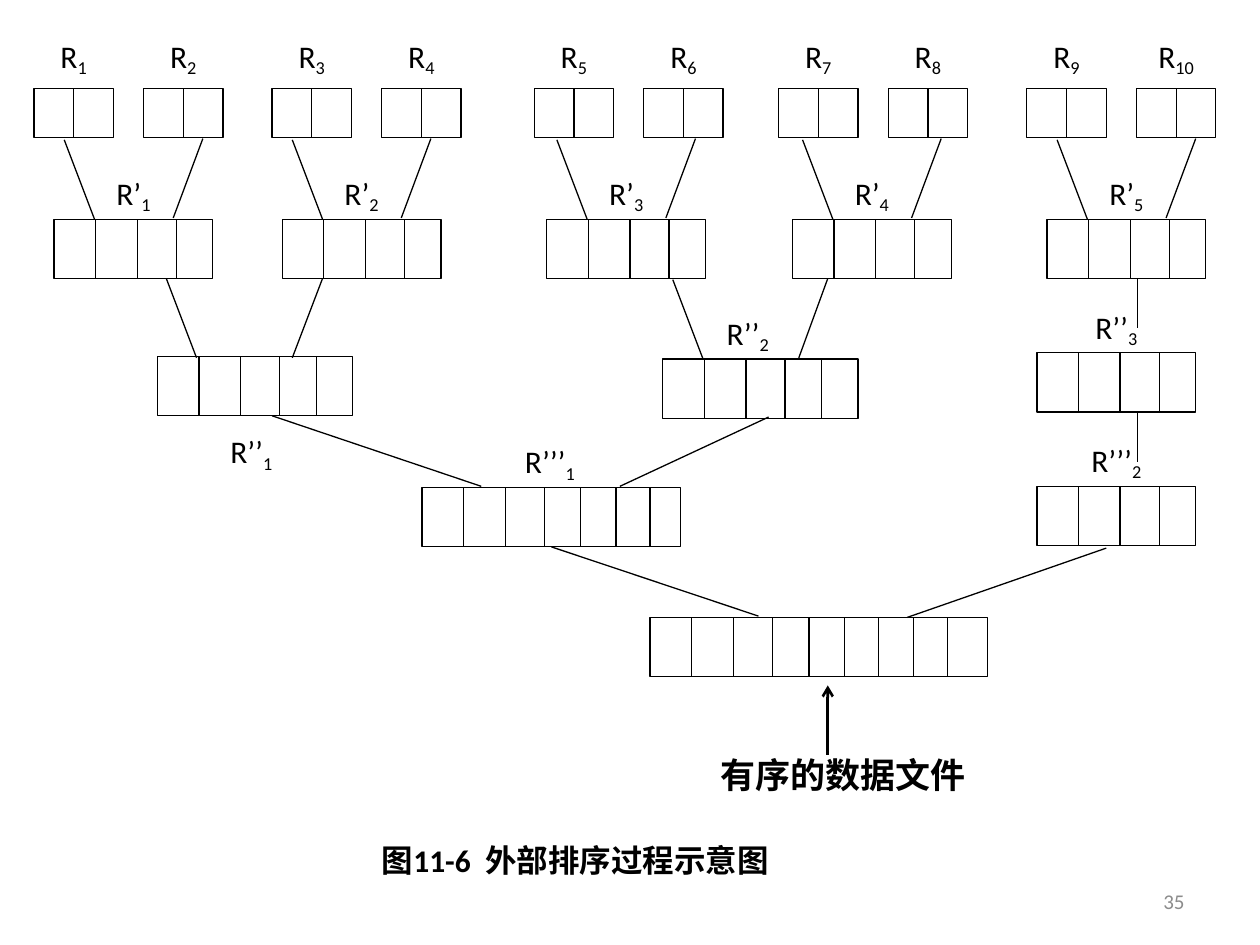
from dataclasses import dataclass

from lxml import etree
from pptx import Presentation
from pptx.dml.color import RGBColor
from pptx.enum.shapes import MSO_CONNECTOR, MSO_SHAPE
from pptx.enum.text import MSO_ANCHOR, PP_ALIGN
from pptx.oxml.ns import qn
from pptx.shapes.autoshape import Shape
from pptx.shapes.connector import Connector
from pptx.slide import Slide
from pptx.util import Inches, Pt

RECTANGLE = MSO_SHAPE.RECTANGLE
STRAIGHT = MSO_CONNECTOR.STRAIGHT
MIDDLE = MSO_ANCHOR.MIDDLE
CENTER, RIGHT = PP_ALIGN.CENTER, PP_ALIGN.RIGHT
BOTTOM_SITE = 2

FONT = "Calibri"
COLORS = {"ink": "000000", "page_number": "8C8C8C"}

# The slide is a grid of 1000 columns by 750 rows; all lengths count its cells.
SLIDE_WIDTH, SLIDE_HEIGHT = Inches(10), Inches(7.5)
COLUMN, ROW = SLIDE_WIDTH / 1000, SLIDE_HEIGHT / 750

BLOCK_DIVIDERS = (33, 66, 97, 126, 154, 181, 209, 236)
RUN_TOP, RUN_WIDTH, RUN_HEIGHT = 70, 63, 39
PAIR_STEP = 87
MERGED_TOP, MERGED_WIDTH, MERGED_HEIGHT = 174, 126, 47
PAIR_LEFTS = (27, 216, 424, 618, 815)
MERGED_LEFTS = (43, 224, 434, 629, 831)


@dataclass
class Span:
    text: str
    subscript: bool = False
    spacing: int = 0  # hundredths of a point


@dataclass
class Area:
    left: float
    top: float
    width: float
    height: float


@dataclass
class Record:
    """A file of blocks with an optional name placed at name_area."""
    area: Area
    dividers: tuple[float, ...]
    name: str = ""
    index: int = 0
    name_area: Area | None = None


@dataclass
class Link:
    start: tuple[float, float]
    end: tuple[float, float]


def merged_record(left: float, top: float, width: float, blocks: int, name: str = "",
                  index: int = 0, name_at: tuple[float, float] | None = None) -> Record:
    name_area = Area(*name_at, 63, 39) if name_at else None
    return Record(Area(left, top, width, MERGED_HEIGHT), BLOCK_DIVIDERS[:blocks - 1],
                  name, index, name_area)


def four_block_record(left: float, top: float, name: str, index: int) -> Record:
    return merged_record(left, top, MERGED_WIDTH, 4, name, index, (left + 31.5, top - 39))


def initial_run(left: float, index: int) -> Record:
    return Record(Area(left, RUN_TOP, RUN_WIDTH, RUN_HEIGHT), (RUN_WIDTH / 2,),
                  "R", index, Area(left + 8, 28, 47, 35))


def write_text(page: Slide, area: Area, spans: list[Span], size: float = 18,
               color: str = "ink", bold: bool = False, align: PP_ALIGN = CENTER,
               wrap: bool = False) -> None:
    """Write one paragraph; a label that does not wrap uses its full box width."""
    box = page.shapes.add_textbox(round(area.left * COLUMN), round(area.top * ROW),
                                  round(area.width * COLUMN), round(area.height * ROW))
    frame = box.text_frame
    frame.word_wrap = wrap
    if not wrap:
        frame.margin_left = frame.margin_right = 0
    frame.vertical_anchor = MIDDLE
    para = frame.paragraphs[0]
    para.alignment = align
    for span in spans:
        run = para.add_run()
        run.text = span.text
        run.font.name, run.font.size, run.font.bold = FONT, Pt(size), bold
        run.font.color.rgb = RGBColor.from_string(COLORS[color])
        properties = run.font._element
        if span.subscript:
            properties.set("baseline", "-20000")
        if span.spacing:
            properties.set("spc", str(span.spacing))


def draw_line(page: Slide, link: Link, weight: float = 0.75, arrow: bool = False) -> Connector:
    (x1, y1), (x2, y2) = link.start, link.end
    line = page.shapes.add_connector(STRAIGHT, round(x1 * COLUMN), round(y1 * ROW),
                                     round(x2 * COLUMN), round(y2 * ROW))
    line.line.color.rgb = RGBColor.from_string(COLORS["ink"])
    line.line.width = Pt(weight)
    if arrow:
        etree.SubElement(line.line._get_or_add_ln(), qn("a:tailEnd"), type="arrow")
    etree.SubElement(line._element.spPr, qn("a:effectLst"))
    return line


def draw_record(page: Slide, record: Record) -> Shape:
    area = record.area
    box = page.shapes.add_shape(RECTANGLE, round(area.left * COLUMN), round(area.top * ROW),
                                round(area.width * COLUMN), round(area.height * ROW))
    box.shadow.inherit = False
    box.fill.background()
    box.line.color.rgb = RGBColor.from_string(COLORS["ink"])
    box.line.width = Pt(0.75)
    for offset in record.dividers:
        x = area.left + offset
        draw_line(page, Link((x, area.top), (x, area.top + area.height)))
    if record.name_area:
        write_text(page, record.name_area,
                   [Span(record.name), Span(str(record.index), subscript=True)])
    return box


def draw_first_merges(page: Slide) -> None:
    """Draw the ten initial runs and merge each pair into a four-block record."""
    for pair, (run_left, left) in enumerate(zip(PAIR_LEFTS, MERGED_LEFTS)):
        for member in range(2):
            draw_record(page, initial_run(run_left + member * PAIR_STEP, 2 * pair + member + 1))
        draw_record(page, four_block_record(left, MERGED_TOP, "R’", pair + 1))
        draw_line(page, Link((left + 8, 111), (left + 32, MERGED_TOP)))
        draw_line(page, Link((left + 118, 110), (left + 94.5, 173)))


LATER_RECORDS = [
    merged_record(125, 283, 155, 5, "R’’", 1, (168, 340)),
    merged_record(526, 285, 155, 5, "R’’", 2, (562, 246)),
    four_block_record(823, 280, "R’’", 3),
    four_block_record(823, 386, "R’’’", 2),
    merged_record(516, 490, 268, 9),
]
LAST_LEFT_MERGE = merged_record(335, 387, 205, 7, "R’’’", 1, (405, 348))

LINKS = [
    Link((132, 221), (156, 284)), Link((256, 221), (232, 284)),
    Link((534, 222), (558, 285)), Link((657, 221), (634, 284)),
    Link((903, 221), (903, 260)), Link((903, 328), (903, 367)),
    Link((216, 330), (382, 386)), Link((610, 331), (492, 386)),
    Link((878, 435), (720, 490)),
]


def main() -> None:
    deck = Presentation()
    deck.slide_width, deck.slide_height = SLIDE_WIDTH, SLIDE_HEIGHT
    page = deck.slides.add_slide(deck.slide_layouts[6])

    draw_first_merges(page)
    for record in LATER_RECORDS:
        draw_record(page, record)
    for link in LINKS:
        draw_line(page, link)
    last_left_box = draw_record(page, LAST_LEFT_MERGE)
    final_link = draw_line(page, Link((437, 434), (602, 489)))
    final_link.begin_connect(last_left_box, BOTTOM_SITE)

    draw_line(page, Link((657, 599), (657, 544)), weight=1.5, arrow=True)
    write_text(page, Area(563, 595, 212, 39), [Span("有序的数据文件")], size=20, bold=True)
    write_text(page, Area(248, 659, 417, 47),
               [Span("图11-6"), Span(" ", spacing=400), Span("外部排序过程示意图")], bold=True)
    write_text(page, Area(717, 695, 233, 40), [Span("35")], size=12,
               color="page_number", align=RIGHT, wrap=True)
    deck.save("out.pptx")


if __name__ == "__main__":
    main()
